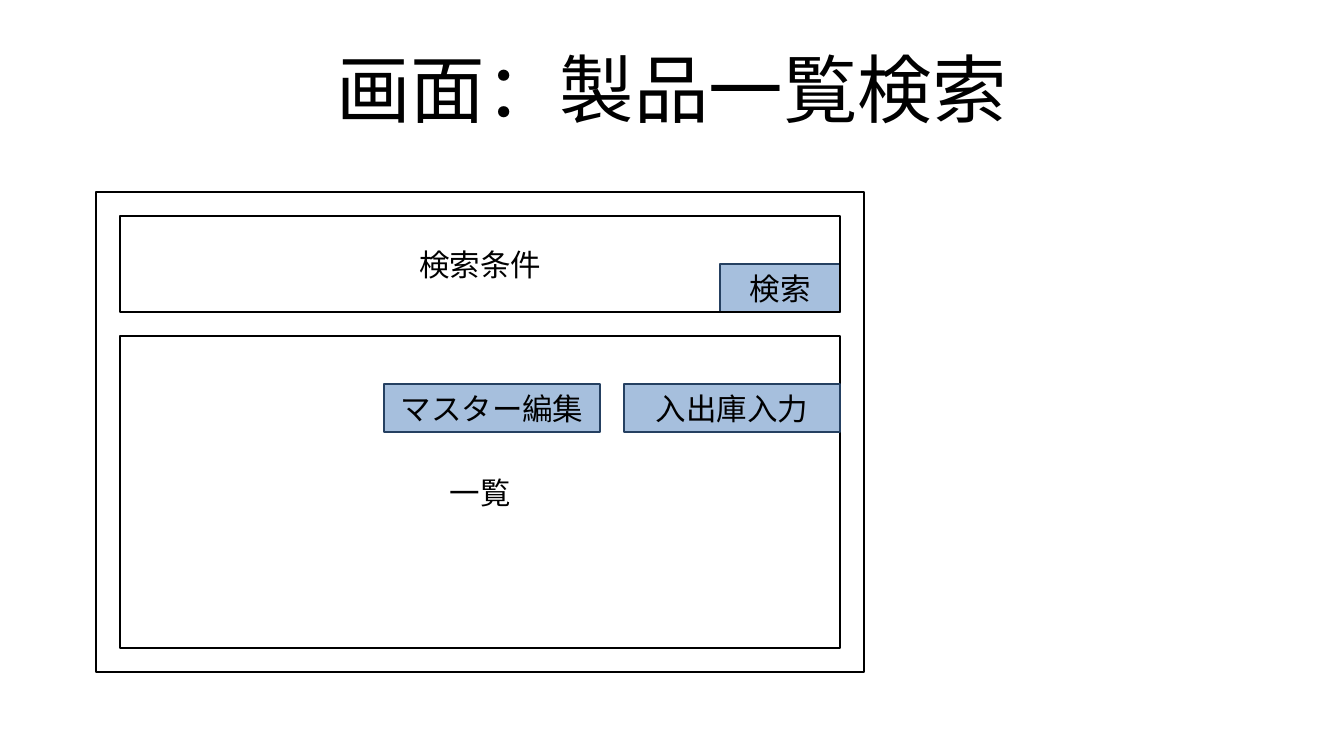
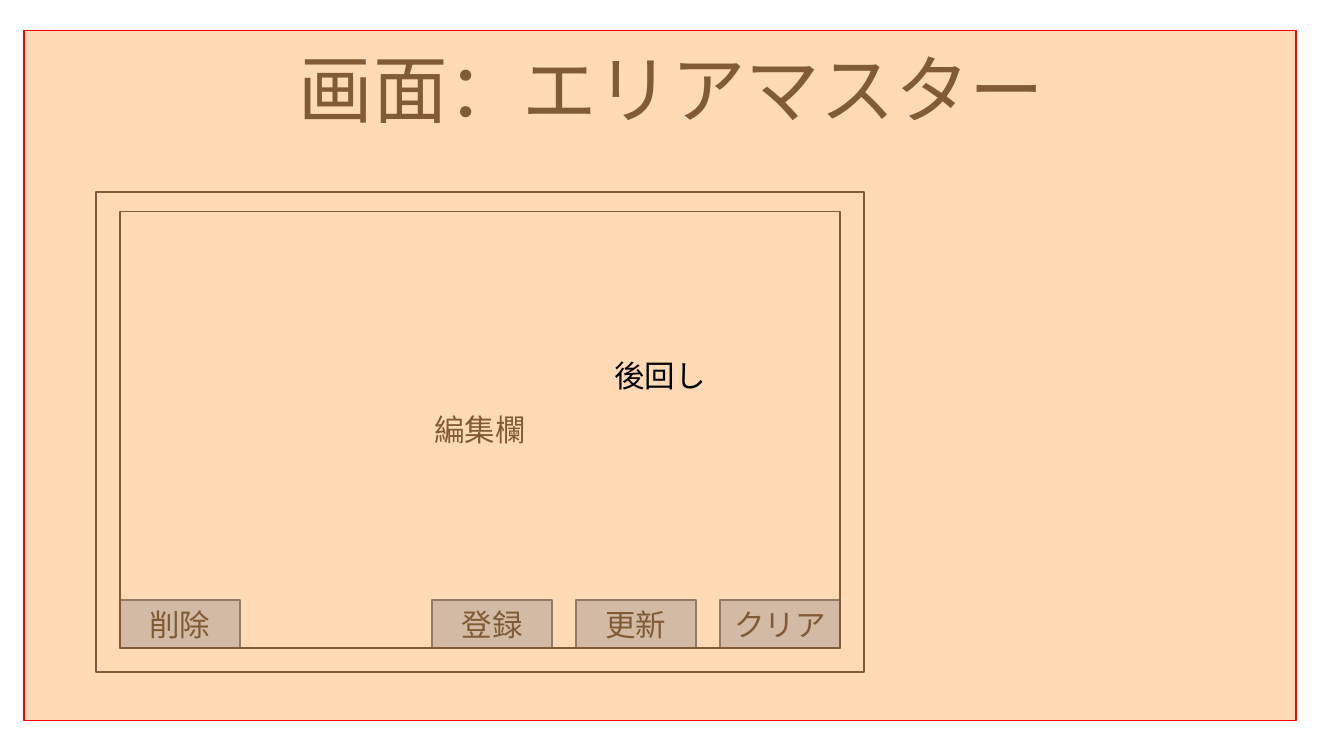
from lxml import etree
from pptx import Presentation
from pptx.dml.color import RGBColor
from pptx.enum import shapes, text
from pptx.oxml import ns
from pptx.util import Pt

GRID = 14.17
BLACK = "000000"
STYLES = {
    "panel": (None, BLACK),
    "button": ("4F81BD", "254061"),
    "cover": ("FFB66C", "FF0000"),
}
TITLE_BOX = {"left": Pt(39.6), "top": Pt(18), "width": Pt(714.2), "height": Pt(74.2)}
TITLE_FRAME = {
    "margin_left": 0, "margin_right": 0, "margin_top": 0, "margin_bottom": 0,
    "word_wrap": True, "auto_size": text.MSO_AUTO_SIZE.NONE,
    "vertical_anchor": text.MSO_ANCHOR.MIDDLE,
}
BOX_FRAME = {"word_wrap": True, "vertical_anchor": text.MSO_ANCHOR.MIDDLE}

SCREENS = [
    ("画面：製品一覧検索", [
        ("panel", "", 4, 8, 32, 20),
        ("button", "検索", 30, 11, 5, 2),
        ("panel", "検索条件", 5, 9, 30, 4),
        ("panel", "一覧", 5, 14, 30, 13),
        ("button", "入出庫入力", 26, 16, 9, 2),
        ("button", "マスター編集", 16, 16, 9, 2),
    ]),
    ("画面：エリアマスター", [
        ("panel", "", 4, 8, 32, 20),
        ("button", "登録", 18, 25, 5, 2),
        ("button", "更新", 24, 25, 5, 2),
        ("button", "削除", 5, 25, 5, 2),
        ("button", "クリア", 30, 25, 5, 2),
        ("panel", "編集欄", 5, 8.8, 30, 18.2),
        ("cover", "後回し", 1, 1.27, 53, 28.75),
    ]),
]


def color(value):
    return RGBColor.from_string(value)


def write(frame, words, size, frame_format):
    for key, value in frame_format.items():
        setattr(frame, key, value)
    paragraph = frame.paragraphs[0]
    paragraph.alignment = text.PP_ALIGN.CENTER
    run = paragraph.add_run()
    run.text = words
    run.font.name = "Arial"
    run.font.size = Pt(size)
    run.font.color.rgb = color(BLACK)


deck = Presentation()
deck.slide_width = Pt(56 * GRID)
deck.slide_height = Pt(31.5 * GRID)

for heading, parts in SCREENS:
    slide = deck.slides.add_slide(deck.slide_layouts[5])
    title = slide.shapes.title
    for key, value in TITLE_BOX.items():
        setattr(title, key, value)
    write(title.text_frame, heading, 44, TITLE_FRAME)
    title.text_frame.paragraphs[0].line_spacing = 0.9

    for style, label, *cells in parts:
        fill, outline = STYLES[style]
        part = slide.shapes.add_shape(
            shapes.MSO_SHAPE.RECTANGLE, *(Pt(cell * GRID) for cell in cells))
        part.shadow.inherit = False
        part.line.color.rgb = color(outline)
        part.line.width = Pt(0)
        if fill:
            part.fill.solid()
            part.fill.fore_color.rgb = color(fill)
            tint = part.fill._xPr.find(".//" + ns.qn("a:srgbClr"))
            etree.SubElement(tint, ns.qn("a:alpha"), val="50000")
        else:
            part.fill.background()
        if label:
            write(part.text_frame, label, 18, BOX_FRAME)

deck.save("out.pptx")
